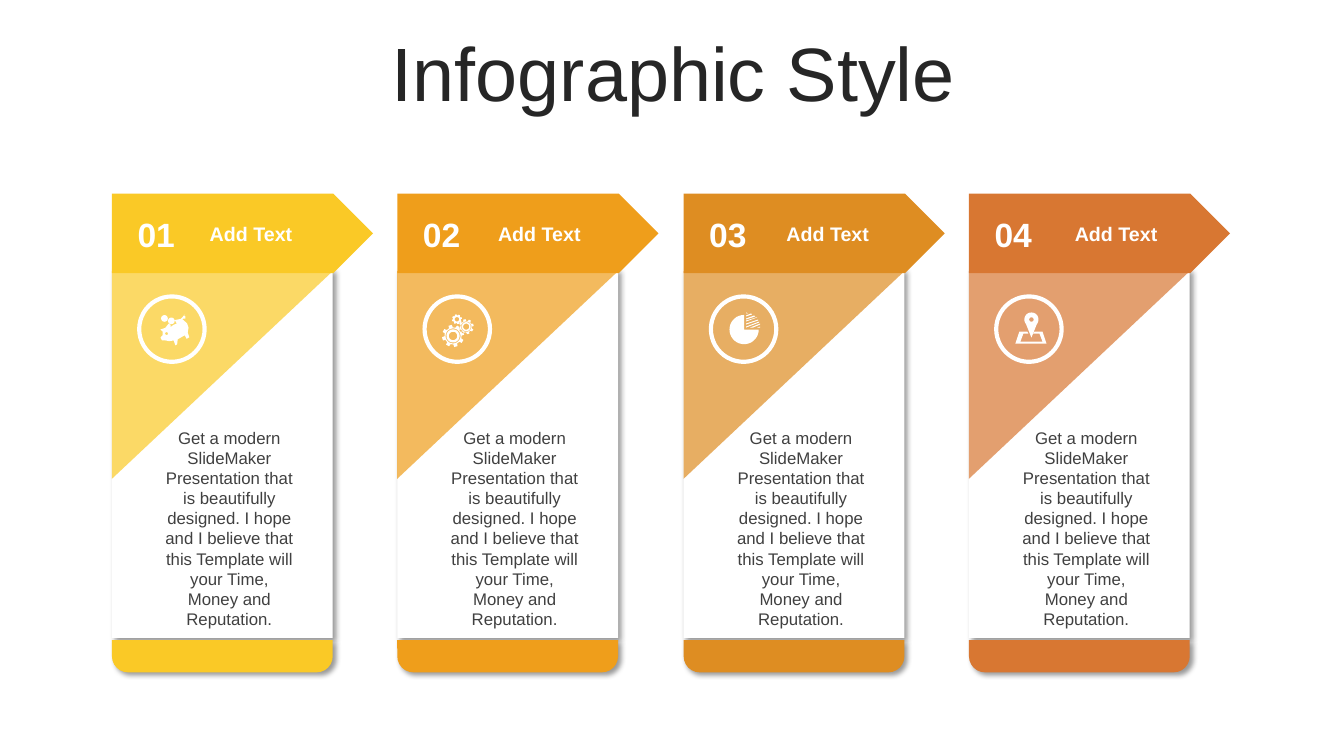
"""Build a four-card infographic slide with arrow headers and icons."""
import math
from dataclasses import dataclass
from typing import Any

import lxml.etree
import pptx
import pptx.dml.color
import pptx.enum.shapes
import pptx.enum.text
import pptx.oxml
import pptx.oxml.ns
import pptx.util

EMU_PER_PX = 9144
ICON_SCALE = EMU_PER_PX / 10
FONT = "Arial"
SHAPE = pptx.enum.shapes.MSO_SHAPE
ANCHOR = pptx.enum.text.MSO_ANCHOR
AUTO_SIZE = pptx.enum.text.MSO_AUTO_SIZE
CENTER = pptx.enum.text.PP_ALIGN.CENTER
COLORS = {
    "title": "262626",
    "body": "404040",
    "white": "FFFFFF",
    "yellow": "FAC926",
    "amber": "EF9E1B",
    "ochre": "DE8D22",
    "rust": "D87732",
}
BODY = (
    "Get a modern SlideMaker Presentation that is beautifully designed. "
    "I hope and I believe that this Template will your Time, Money and Reputation."
)
FIRST_CARD, CARD_STEP = 111, 283.33
FIRST_LABEL, LABEL_STEP = 187, 286
CARD_WIDTH = 219

Point = tuple[float, float]
Contour = list[Point]


@dataclass(frozen=True)
class Box:
    """Position and size in px."""

    left: int
    top: int
    width: int
    height: int

    def emu(self) -> list[pptx.util.Emu]:
        """Return the four lengths in EMU."""
        return [pptx.util.Emu(px * EMU_PER_PX) for px in (self.left, self.top, self.width, self.height)]


@dataclass(frozen=True)
class Style:
    """Format values of a text."""

    size: int
    color: str
    bold: bool = False


@dataclass(frozen=True)
class Card:
    """One card: number, colour name, icon outline and icon rotation."""

    number: str
    color: str
    icon: list[Contour]
    rotation: int = 0


def arc(x: float, y: float, radius: float, start: int = 0, end: int = 360) -> Contour:
    """Return points along a circular arc, angles clockwise from the right."""
    return [
        (x + radius * math.cos(math.radians(angle)), y + radius * math.sin(math.radians(angle)))
        for angle in range(start, end + 1, 10)
    ]


def gear(x: float, y: float, tip: float, root: float, rings: list[float]) -> list[Contour]:
    """Return a gear with eight teeth and concentric rings."""
    teeth = [
        (x + radius * math.cos(math.radians(45 * tooth + offset)),
         y + radius * math.sin(math.radians(45 * tooth + offset)))
        for tooth in range(8)
        for offset, radius in ((-13, root), (-9, tip), (9, tip), (13, root))
    ]
    return [teeth] + [arc(x, y, ring) for ring in rings]


PIG = [
    [(185, -75), (165, -65), (175, -55), (165, -35), (145, -45), (135, -45), (155, 15), (145, 60),
     (115, 95), (105, 145), (75, 145), (75, 105), (-5, 105), (-35, 145), (-55, 145), (-45, 95),
     (-85, 80), (-115, 55), (-145, 35), (-145, 5), (-115, -5), (-95, -35), (-105, -65), (-55, -55),
     (-5, -75), (5, -55), (-5, -35), (30, -40), (65, -35), (65, -75), (125, -55)],
    arc(-72, 0, 14),
    arc(32, -85, 33),
    arc(-15, -140, 33),
]
GEARS = (
    gear(-55, 55, 110, 85, [74, 65, 42])
    + gear(95, 0, 75, 58, [52, 45, 30])
    + gear(25, -95, 50, 40, [22])
)
PIE = [
    [(5, 5)] + arc(5, 5, 145, 0, 270),
    [(25, -165), (45, -155), (25, -155)],
    [(75, -155), (85, -145), (25, -125), (25, -135)],
    [(105, -135), (115, -125), (25, -95), (25, -105)],
    [(125, -115), (135, -115), (25, -75), (25, -85)],
    [(145, -95), (145, -85), (25, -45), (25, -55)],
    [(155, -75), (155, -65), (25, -15), (25, -25)],
    [(165, -55), (165, -45), (95, -15), (65, -15)],
    [(165, -25), (165, -15), (135, -15)],
]
MAP_PIN = [
    [(-95, 25), (-15, 25), (-5, 45), (-55, 45), (-85, 125), (135, 125), (105, 45), (45, 45),
     (55, 25), (135, 25), (175, 145), (-135, 145)],
    arc(25, -95, 70, 140, 400) + [(25, 85)],
    arc(25, -95, 22),
]
CARDS = [
    Card("01", "yellow", PIG, 330),
    Card("02", "amber", GEARS, 345),
    Card("03", "ochre", PIE),
    Card("04", "rust", MAP_PIN),
]


def paint(shape: Any, color: str, alpha: int = 100) -> None:
    """Give a shape a plain fill without line or shadow."""
    shape.shadow.inherit = False
    shape.line.fill.background()
    shape.fill.solid()
    shape.fill.fore_color.rgb = pptx.dml.color.RGBColor.from_string(COLORS[color])
    if alpha < 100:
        rgb = shape.fill._xPr.find(".//" + pptx.oxml.ns.qn("a:srgbClr"))
        lxml.etree.SubElement(rgb, pptx.oxml.ns.qn("a:alpha"), val=str(alpha * 1000))


def cast_shadow(shape: Any) -> None:
    """Add a soft shadow towards the lower right."""
    effects = shape._element.spPr.find(pptx.oxml.ns.qn("a:effectLst"))
    effects.append(pptx.oxml.parse_xml(
        f'<a:outerShdw {pptx.oxml.ns.nsdecls("a")} blurRad="50800" dist="38100" dir="2700000" '
        'algn="tl" rotWithShape="0"><a:srgbClr val="000000"><a:alpha val="40000"/></a:srgbClr></a:outerShdw>'
    ))


def add_block(slide: Any, kind: Any, box: Box, color: str, alpha: int = 100,
              rotation: int = 0, adjustments: tuple[float, ...] = ()) -> Any:
    """Add a filled preset shape."""
    shape = slide.shapes.add_shape(kind, *box.emu())
    shape.rotation = rotation
    for index, value in enumerate(adjustments):
        shape.adjustments[index] = value
    paint(shape, color, alpha)
    return shape


def write(shape: Any, text: str, style: Style, frame_format: dict[str, Any]) -> Any:
    """Write one centred paragraph into a shape and return it."""
    for name, value in frame_format.items():
        setattr(shape.text_frame, name, value)
    paragraph = shape.text_frame.paragraphs[0]
    paragraph.text = text
    paragraph.alignment = CENTER
    font_format = {"name": FONT, "size": pptx.util.Pt(style.size), "bold": style.bold}
    for name, value in font_format.items():
        setattr(paragraph.runs[0].font, name, value)
    paragraph.runs[0].font.color.rgb = pptx.dml.color.RGBColor.from_string(COLORS[style.color])
    return paragraph


def add_text(slide: Any, box: Box, text: str, style: Style) -> None:
    """Add a wrapping text box."""
    frame_format = {"word_wrap": True, "auto_size": AUTO_SIZE.SHAPE_TO_FIT_TEXT}
    write(slide.shapes.add_textbox(*box.emu()), text, style, frame_format)


def add_icon(slide: Any, card: Card, ring: Box) -> None:
    """Draw the icon outline around the centre of its ring."""
    left, top, width, height = ring.emu()
    first, *others = card.icon
    builder = slide.shapes.build_freeform(*first[0], scale=ICON_SCALE)
    builder.add_line_segments(first[1:], close=True)
    for contour in others:
        builder.move_to(*contour[0])
        builder.add_line_segments(contour[1:], close=True)
    shape = builder.convert_to_shape(left + width // 2, top + height // 2)
    shape.rotation = card.rotation
    paint(shape, "white")


def add_card(slide: Any, index: int, card: Card) -> None:
    """Draw one card with its header, icon and texts."""
    left = FIRST_CARD + round(index * CARD_STEP)
    cast_shadow(add_block(slide, SHAPE.RECTANGLE, Box(left, 267, CARD_WIDTH, 366), "white"))
    add_block(slide, SHAPE.PENTAGON, Box(left, 192, 259, 79), card.color)
    add_block(slide, SHAPE.ISOSCELES_TRIANGLE, Box(left, 269, CARD_WIDTH, 206), card.color, 70, 180, (1,))
    cast_shadow(add_block(slide, SHAPE.ROUND_2_SAME_RECTANGLE, Box(left, 635, CARD_WIDTH, 32),
                          card.color, rotation=180, adjustments=(0.5, 0)))
    ring = Box(left + 25, 292, 69, 69)
    add_block(slide, SHAPE.DONUT, ring, "white", adjustments=(0.06,))
    add_icon(slide, card, ring)
    add_text(slide, Box(left + 14, 207, 60, 50), card.number, Style(24, "white", True))
    add_text(slide, Box(left + 42, 419, 149, 212), BODY, Style(12, "body"))
    label_box = Box(FIRST_LABEL + index * LABEL_STEP, 215, 124, 34)
    add_text(slide, label_box, "Add Text", Style(14, "white", True))


def main() -> None:
    """Build and save the presentation."""
    presentation = pptx.Presentation()
    presentation.slide_width = pptx.util.Inches(13.33)
    presentation.slide_height = pptx.util.Inches(7.5)
    slide = presentation.slides.add_slide(presentation.slide_layouts[5])
    title = slide.shapes.title
    title.left, title.top, title.width, title.height = Box(35, 37, 1266, 79).emu()
    frame_format = {"word_wrap": True, "auto_size": AUTO_SIZE.NONE, "vertical_anchor": ANCHOR.MIDDLE}
    write(title, "Infographic Style", Style(54, "title"), frame_format).line_spacing = 0.9
    for index, card in enumerate(CARDS):
        add_card(slide, index, card)
    presentation.save("out.pptx")


if __name__ == "__main__":
    main()
